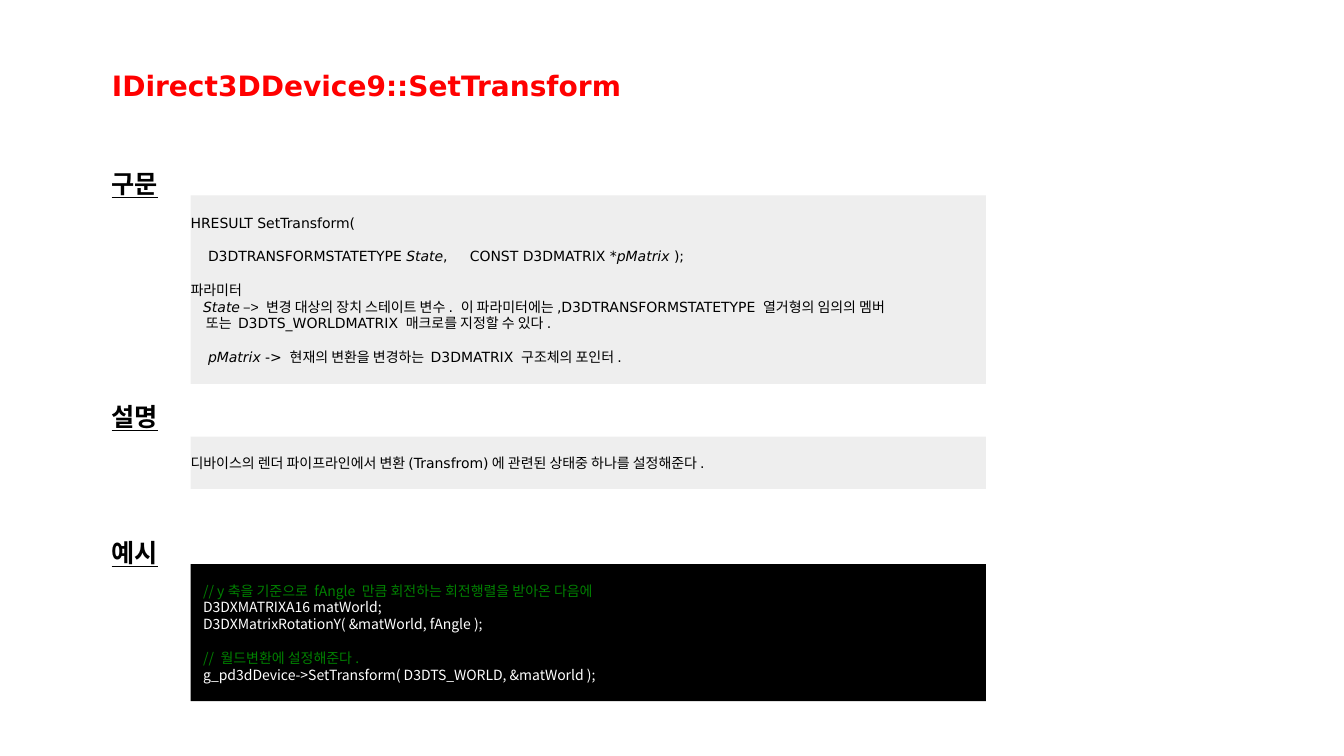
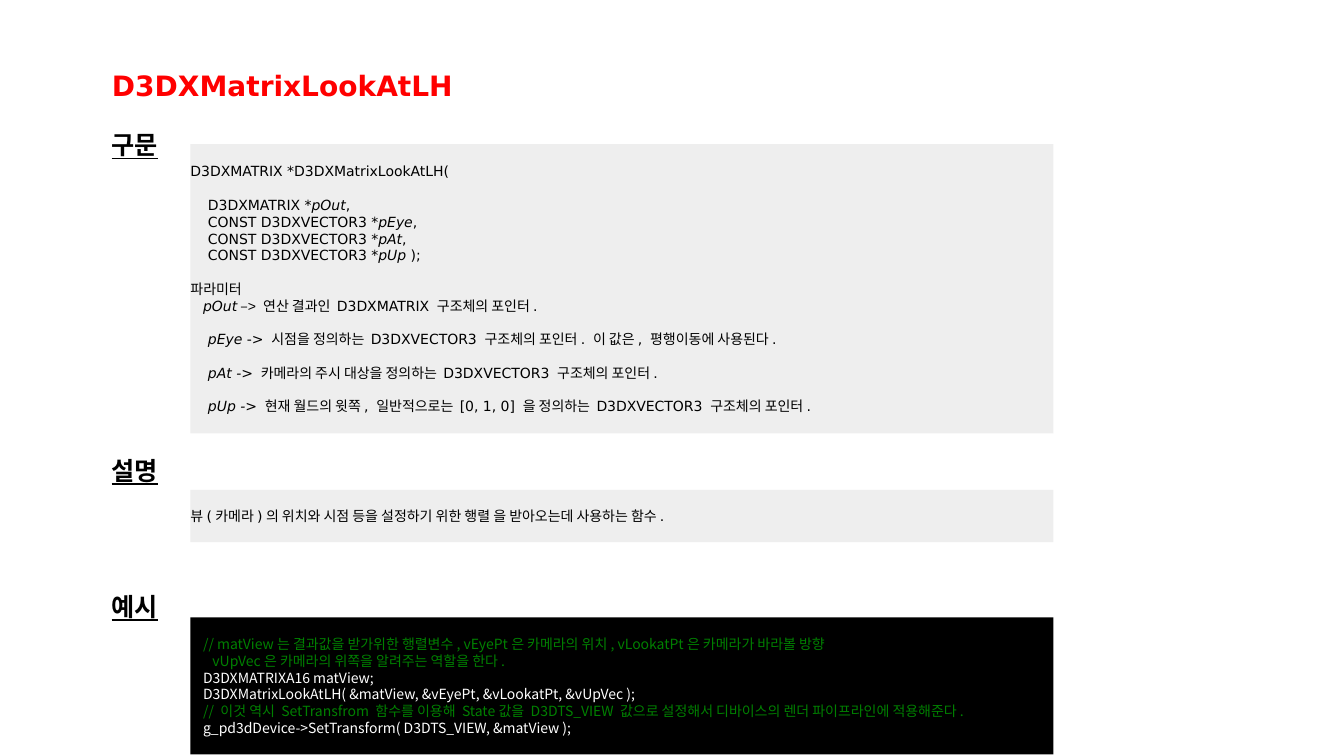
from dataclasses import dataclass

from lxml.etree import SubElement
from pptx import Presentation
from pptx.dml.color import RGBColor
from pptx.enum.shapes import MSO_SHAPE
from pptx.enum.text import MSO_ANCHOR, MSO_AUTO_SIZE, PP_ALIGN
from pptx.oxml.ns import qn
from pptx.util import Pt

# Shared look
RED = RGBColor(0xFF, 0x00, 0x00)
BLACK = RGBColor(0x00, 0x00, 0x00)
WHITE = RGBColor(0xFF, 0xFF, 0xFF)
GREEN = RGBColor(0x00, 0x80, 0x00)
GRAY = RGBColor(0xEE, 0xEE, 0xEE)
LATIN, KOREAN, ARIAL = "DejaVu Sans", "Noto Sans CJK KR", "Arial"

# Shared measures, in points
LEFT, BOX_LEFT = 72.7, 136.1
LINE = 12
CODE_INDENT, PARAM_INDENT = 9, 12.5
NOTE_DROP, NOTE_HEIGHT = 28.8, 37.4
EXAMPLE_STEP, EXAMPLE_DROP, EXAMPLE_HEIGHT = 97.2, 22.7, 97.9


@dataclass
class Span:
    text: str
    italic: bool = False
    font: str = ""


@dataclass
class Line:
    spans: list
    indent: float = 0
    gap: bool = False
    color: RGBColor = BLACK
    font: str = LATIN
    tabs: tuple = ()


def var(name):
    return Span(name, italic=True)


def first_param(name, meaning):
    arrow = [Span(" –", font=KOREAN), Span("> ", font=ARIAL)]
    return Line([var(name), *arrow, Span(meaning)], CODE_INDENT)


def param(*spans, gap=True):
    return Line(list(spans), PARAM_INDENT, gap)


def code(text, gap=False):
    return Line([Span(text)], CODE_INDENT, gap, WHITE, KOREAN)


def comment(text, gap=False, indent=CODE_INDENT):
    return Line([Span(text)], indent, gap, GREEN, KOREAN)


def style(para, font, size, color, bold=False):
    para.alignment = PP_ALIGN.LEFT
    para.font.name = font
    para.font.size = Pt(size)
    para.font.bold = bold
    para.font.color.rgb = color


def add_title(page, text):
    title = page.shapes.title
    title.left, title.top, title.width, title.height = Pt(LEFT), Pt(45.4), Pt(600), Pt(31.7)
    frame = title.text_frame
    frame.text = text
    frame.auto_size = MSO_AUTO_SIZE.NONE
    frame.vertical_anchor = MSO_ANCHOR.TOP
    style(frame.paragraphs[0], LATIN, 20, RED, bold=True)


def add_heading(page, top, text):
    box = page.shapes.add_textbox(Pt(LEFT), Pt(top), Pt(51.1), Pt(28.8))
    box.text_frame.word_wrap = False
    para = box.text_frame.paragraphs[0]
    para.text = text
    para.line_spacing = Pt(22)
    style(para, KOREAN, 18, BLACK, bold=True)
    para.font.underline = True


def write_line(para, line):
    para.line_spacing = Pt(LINE)
    para.space_before = Pt(LINE if line.gap else 0)
    properties = para._p.get_or_add_pPr()
    properties.set("marL", str(Pt(line.indent)))
    if line.tabs:
        stops = SubElement(properties, qn("a:tabLst"))
        for stop in line.tabs:
            SubElement(stops, qn("a:tab"), pos=str(Pt(stop)), algn="l")
    style(para, line.font, 10, line.color)
    for span in line.spans:
        run = para.add_run()
        run.text = span.text
        if span.italic:
            run.font.italic = True
        if span.font:
            run.font.name = span.font


def add_panel(page, top, width, height, fill, lines):
    box = page.shapes.add_shape(
        MSO_SHAPE.RECTANGLE, Pt(BOX_LEFT), Pt(top), Pt(width), Pt(height))
    box.shadow.inherit = False
    box.fill.solid()
    box.fill.fore_color.rgb = fill
    box.line.fill.background()
    frame = box.text_frame
    frame.word_wrap = True
    frame.vertical_anchor = MSO_ANCHOR.MIDDLE
    frame.margin_left, frame.margin_right = 0, Pt(7.2)
    frame.margin_top = frame.margin_bottom = Pt(12.2)
    for index, line in enumerate(lines):
        write_line(frame.add_paragraph() if index else frame.paragraphs[0], line)


def add_section(page, heading, top, drop, width, height, lines, fill=GRAY):
    add_heading(page, top, heading)
    add_panel(page, top + drop, width, height, fill, lines)


def add_reference_page(deck, title, width, syntax_box, note_top, syntax, note, example):
    page = deck.slides.add_slide(deck.slide_layouts[5])
    add_title(page, title)
    top, drop, height = syntax_box
    add_section(page, "구문", top, drop, width, height, syntax)
    add_section(page, "설명", note_top, NOTE_DROP, width, NOTE_HEIGHT, [Line([Span(note)])])
    add_section(page, "예시", note_top + EXAMPLE_STEP, EXAMPLE_DROP, width,
                EXAMPLE_HEIGHT, example, BLACK)


def add_set_transform(deck):
    syntax = [
        Line([Span("HRESULT SetTransform(")]),
        Line([Span("\tD3DTRANSFORMSTATETYPE "), var("State"),
              Span(",\tCONST D3DMATRIX *"), var("pMatrix"), Span(" );")],
             gap=True, tabs=(PARAM_INDENT, 199.5)),
        Line([Span("파라미터")], gap=True),
        first_param("State", "변경 대상의 장치 스테이트 변수. 이 파라미터에는,"
                    "D3DTRANSFORMSTATETYPE 열거형의 임의의 멤버"),
        Line([Span("또는 D3DTS_WORLDMATRIX 매크로를 지정할 수 있다.")], 11),
        param(var("pMatrix"), Span(" -> 현재의 변환을 변경하는 D3DMATRIX 구조체의 포인터.")),
    ]
    example = [
        comment("// y축을 기준으로 fAngle 만큼 회전하는 회전행렬을 받아온 다음에"),
        code("D3DXMATRIXA16 matWorld;"),
        code("D3DXMatrixRotationY( &matWorld, fAngle );"),
        comment("// 월드변환에 설정해준다.", gap=True),
        code("g_pd3dDevice->SetTransform( D3DTS_WORLD, &matWorld );"),
    ]
    add_reference_page(
        deck, "IDirect3DDevice9::SetTransform", 568.1, (116.6, 23, 134.6), 283, syntax,
        "디바이스의 렌더 파이프라인에서 변환(Transfrom)에 관련된 상태중 하나를 설정해준다.",
        example)


def add_look_at(deck):
    arguments = [("D3DXMATRIX", "pOut", ","), ("CONST D3DXVECTOR3", "pEye", ","),
                 ("CONST D3DXVECTOR3", "pAt", ","), ("CONST D3DXVECTOR3", "pUp", " );")]
    syntax = [
        Line([Span("D3DXMATRIX *D3DXMatrixLookAtLH(")]),
        *[param(Span(f"{kind} *"), var(name), Span(end), gap=index == 0)
          for index, (kind, name, end) in enumerate(arguments)],
        Line([Span("파라미터")], gap=True),
        first_param("pOut", "연산 결과인 D3DXMATRIX 구조체의 포인터."),
        param(var("pEye"), Span(" -> 시점을 정의하는 D3DXVECTOR3 구조체의 포인터. "
                                "이 값은, 평행이동에 사용된다.")),
        param(var("pAt -> "), Span("카메라의 주시 대상을 정의하는 D3DXVECTOR3 구조체의 포인터.")),
        param(var("pUp -> "), Span("현재 월드의 윗쪽, 일반적으로는 [0, 1, 0] 을 정의하는 "
                                   "D3DXVECTOR3 구조체의 포인터.")),
    ]
    example = [
        comment("// matView는 결과값을 받가위한 행렬변수, vEyePt은 카메라의 위치, "
                "vLookatPt은 카메라가 바라볼 방향"),
        comment("vUpVec은 카메라의 위쪽을 알려주는 역할을 한다.", indent=15.7),
        code("D3DXMATRIXA16 matView;"),
        code("D3DXMatrixLookAtLH( &matView, &vEyePt, &vLookatPt, &vUpVec );"),
        comment("// 이것 역시 SetTransfrom 함수를 이용해 State값을 D3DTS_VIEW 값으로 "
                "설정해서 디바이스의 렌더 파이프라인에 적용해준다."),
        code("g_pd3dDevice->SetTransform( D3DTS_VIEW, &matView );"),
    ]
    add_reference_page(
        deck, "D3DXMatrixLookAtLH", 616.3, (88.6, 14.4, 206.6), 321.1, syntax,
        "뷰(카메라)의 위치와 시점 등을 설정하기 위한 행렬 을 받아오는데 사용하는 함수.",
        example)


def main():
    deck = Presentation()
    deck.slide_width, deck.slide_height = Pt(960), Pt(540)
    add_set_transform(deck)
    add_look_at(deck)
    deck.save("out.pptx")


if __name__ == "__main__":
    main()
